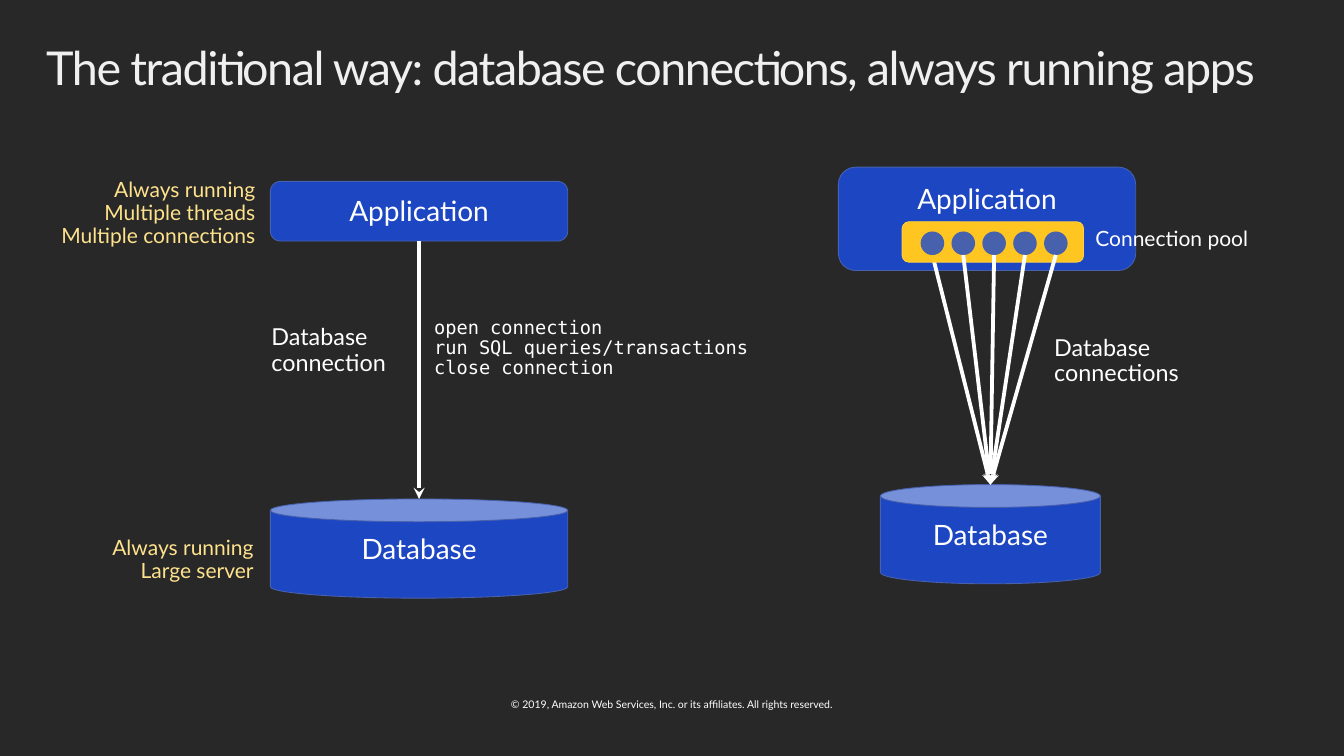
from pptx import Presentation
from pptx.dml.color import RGBColor
from pptx.enum import shapes, text
from pptx.oxml.ns import qn
from pptx.util import Pt
from lxml import etree

COLORS = {
    "background": "282828", "title": "F0F0F0", "white": "FFFFFF",
    "note": "FFE28C", "blue": "1D46C2", "edge": "4861AD",
    "pool": "FFC622", "pool_edge": "FFCE3F",
}
SANS, MONO = "Lato", "DejaVu Sans Mono"
LEFT, CENTER, RIGHT = text.PP_ALIGN.LEFT, text.PP_ALIGN.CENTER, text.PP_ALIGN.RIGHT
CAN, ROUND, OVAL = (shapes.MSO_SHAPE.CAN, shapes.MSO_SHAPE.ROUNDED_RECTANGLE,
                    shapes.MSO_SHAPE.OVAL)

TITLE = "The traditional way: database connections, always running apps"
FOOTER = "© 2019, Amazon Web Services, Inc. or its affiliates. All rights reserved."
LABELS = [
    (["open connection", "run SQL queries/transactions", "close connection"],
     (357.8, 261.4, 301, 75.6), 16, "white", LEFT, MONO),
    (["Connection pool"], (924.5, 185.8, 164.9, 43.2), 18, "white", LEFT, SANS),
    (["Database", "connections"], (889.2, 276.5, 139, 67), 20, "white", LEFT, SANS),
    (["Database", "connection"], (218.2, 267.8, 130.3, 67), 20, "white", LEFT, SANS),
    (["Always running", "Large server"],
     (75.6, 449.3, 156.2, 62.6), 18, "note", RIGHT, SANS),
    (["Always running", "Multiple threads", "Multiple connections"],
     (32.4, 142.6, 200.9, 82.1), 18, "note", RIGHT, SANS),
]
LEFT_APP = (231.8, 155.5, 254.9, 51.1)
LEFT_DB = (231.8, 427.7, 254.9, 85)
RIGHT_APP = (718.6, 143.3, 254.9, 88.6)
RIGHT_DB = (754.6, 415.4, 188.6, 85)
POOL = (773.3, 190.1, 155.5, 34.6)
DOT_COUNT, DOT_SIZE, DOT_PITCH = 5, 20.2, 26.45
DOT_LEFT, DOT_TOP = 789.1, 198.4


def rgb(name):
    return RGBColor.from_string(COLORS[name])


def write(sp, lines, size, color, align=LEFT, font=SANS, spacing=0.9,
          after=0, inset=(14.4, 11.5), tracking=None):
    tf = sp.text_frame
    tf.margin_left = tf.margin_right = Pt(inset[0])
    tf.margin_top = tf.margin_bottom = Pt(inset[1])
    tf.vertical_anchor = text.MSO_ANCHOR.TOP
    tf.word_wrap = True
    p = tf.paragraphs[0]
    p.alignment, p.line_spacing, p.space_after = align, spacing, Pt(after)
    for i, line in enumerate(lines):
        if i:
            p.add_line_break()
        r = p.add_run()
        r.text = line
        r.font.name, r.font.size = font, Pt(size)
        r.font.color.rgb = rgb(color)
        if tracking:
            r._r.get_or_add_rPr().set("spc", str(tracking))
    for br in p._p.findall(qn("a:br")):
        etree.SubElement(br, qn("a:rPr")).set("sz", str(size * 100))
    return tf


def add_text(s, box, lines, size, color, **style):
    return write(s.shapes.add_textbox(*map(Pt, box)), lines, size, color, **style)


def add_block(s, kind, box, fill, edge=None, caption=None):
    sp = s.shapes.add_shape(kind, *map(Pt, box))
    sp.shadow.inherit = False
    sp.fill.solid()
    sp.fill.fore_color.rgb = rgb(fill)
    if edge:
        sp.line.color.rgb = rgb(edge)
        sp.line.width = Pt(0.75)
    else:
        sp.line.fill.background()
    if kind == CAN:
        sp.adjustments[0] = 0.23
    if caption:
        write(sp, [caption], 24, "white", align=CENTER)


def add_arrow(s, start, end):
    cx = s.shapes.add_connector(shapes.MSO_CONNECTOR.STRAIGHT, *map(Pt, start + end))
    cx.line.color.rgb = rgb("white")
    cx.line.width = Pt(3.25)
    etree.SubElement(cx.line._get_or_add_ln(), qn("a:tailEnd")).set("type", "stealth")
    etree.SubElement(cx._element.spPr, qn("a:effectLst"))


def top_center(box):
    return box[0] + box[2] / 2, box[1]


def bottom_center(box):
    return box[0] + box[2] / 2, box[1] + box[3]


def main():
    prs = Presentation()
    prs.slide_width, prs.slide_height = Pt(1152), Pt(648)
    s = prs.slides.add_slide(prs.slide_layouts[6])
    s.background.fill.solid()
    s.background.fill.fore_color.rgb = rgb("background")

    add_text(s, (419.8, 598.3, 311.8, 10.8), [FOOTER], 9, "white",
             align=CENTER, spacing=1, inset=(0, 0))
    add_text(s, (25.2, 27.4, 1100.9, 85), [TITLE], 40, "title", tracking=-120)

    add_block(s, CAN, LEFT_DB, "blue", "edge", "Database")
    add_block(s, ROUND, LEFT_APP, "blue", "edge", "Application")
    add_arrow(s, bottom_center(LEFT_APP), top_center(LEFT_DB))

    add_block(s, CAN, RIGHT_DB, "blue", "edge", "Database")
    add_block(s, ROUND, RIGHT_APP, "blue", "edge", "Application")
    dots = [(DOT_LEFT + i * DOT_PITCH, DOT_TOP, DOT_SIZE, DOT_SIZE)
            for i in range(DOT_COUNT)]
    target = top_center(RIGHT_DB)
    add_arrow(s, bottom_center(dots[0]), target)
    add_block(s, ROUND, POOL, "pool", "pool_edge")
    for dot in dots:
        add_block(s, OVAL, dot, "edge")
    for dot in dots[1:]:
        add_arrow(s, bottom_center(dot), target)

    for lines, box, size, color, align, font in LABELS:
        tf = add_text(s, box, lines, size, color, align=align, font=font, after=18)
        tf.word_wrap = False
        tf.auto_size = text.MSO_AUTO_SIZE.SHAPE_TO_FIT_TEXT

    prs.save("out.pptx")


if __name__ == "__main__":
    main()
